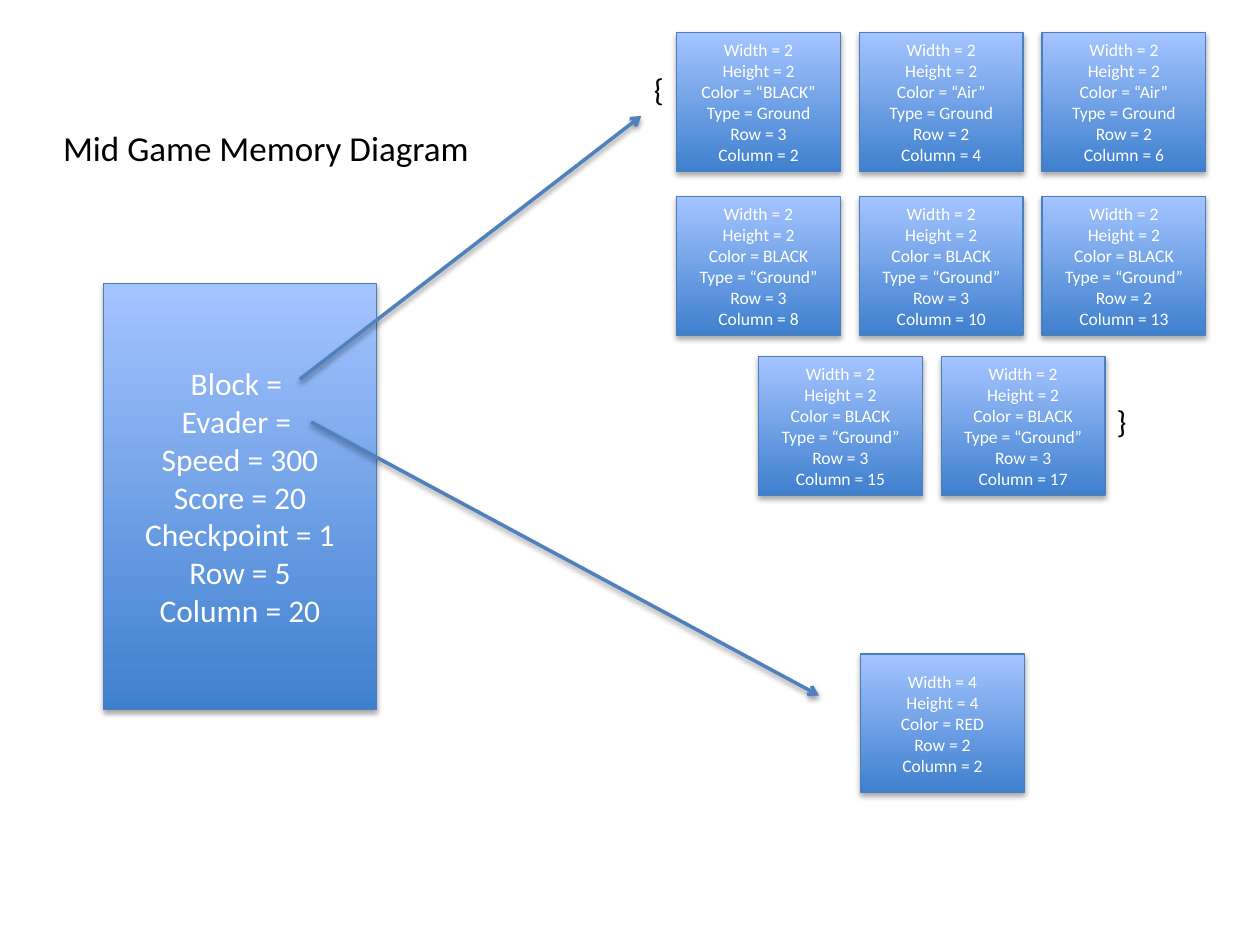
from lxml import etree
from pptx import Presentation
from pptx.dml.color import RGBColor
from pptx.enum.shapes import MSO_CONNECTOR, MSO_SHAPE
from pptx.enum.text import MSO_ANCHOR, MSO_AUTO_SIZE, PP_ALIGN
from pptx.oxml import parse_xml
from pptx.oxml.ns import nsdecls, qn
from pptx.util import Inches, Pt

RECT, LINE = MSO_SHAPE.RECTANGLE, MSO_CONNECTOR.STRAIGHT
LEFT, MID = PP_ALIGN.LEFT, PP_ALIGN.CENTER
TOP, CENTER = MSO_ANCHOR.TOP, MSO_ANCHOR.MIDDLE
GROW, FIXED = MSO_AUTO_SIZE.SHAPE_TO_FIT_TEXT, MSO_AUTO_SIZE.NONE
FONT = "Calibri"
CARD_W, CARD_H, STEP = 1.3, 1.1, 1.45

GAME = ["Block = ", "Evader = ", "Speed = 300", "Score = 20",
        "Checkpoint = 1", "Row = 5", "Column = 20"]
EVADER = ["Width = 4", "Height = 4", "Color = RED", "Row = 2", "Column = 2"]
ROWS = [
    (5.37, 0.26, [("“BLACK”", "Ground", 3, 2), ("“Air”", "Ground", 2, 4),
                  ("“Air”", "Ground", 2, 6)]),
    (5.37, 1.56, [("BLACK", "“Ground”", 3, 8), ("BLACK", "“Ground”", 3, 10),
                  ("BLACK", "“Ground”", 2, 13)]),
    (6.02, 2.83, [("BLACK", "“Ground”", 3, 15), ("BLACK", "“Ground”", 3, 17)]),
]
ARROWS = [((2.38, 3.01), (5.09, 0.92)), ((2.47, 3.35), (6.5, 5.52))]
BRACES = [("{", (5.09, 0.51, 0.28, 0.4), False), ("}", (8.77, 3.14, 0.19, 0.4), True)]


def color(code):
    """Turn a hex string into a colour."""
    return RGBColor.from_string(code)


def style(item, **values):
    """Set each given attribute on an item."""
    for name, value in values.items():
        setattr(item, name, value)


def place(item, box):
    """Move an item to a box given in inches."""
    names = ("left", "top", "width", "height")
    style(item, **dict(zip(names, map(Inches, box))))


def write(shape, lines, size, ink, align, frame):
    """Fill a shape with one formatted paragraph per line."""
    text = shape.text_frame
    text.text = "\n".join(lines)
    style(text, **frame)
    for para in text.paragraphs:
        para.alignment = align
        for run in para.runs:
            style(run.font, name=FONT, size=Pt(size))
            run.font.color.rgb = color(ink)


def shade(item, dist, alpha):
    """Give an item a soft shadow that falls straight down."""
    props = item._element.spPr
    for old in props.findall(qn("a:effectLst")):
        props.remove(old)
    props.append(parse_xml(
        f'<a:effectLst {nsdecls("a")}><a:outerShdw blurRad="40000" dist="{dist}" '
        'dir="5400000" rotWithShape="0"><a:srgbClr val="000000">'
        f'<a:alpha val="{alpha}"/></a:srgbClr></a:outerShdw></a:effectLst>'))


def card(slide, box, lines, size):
    """Draw a gradient box that lists the fields of one object."""
    shape = slide.shapes.add_shape(RECT, *map(Inches, box))
    shape.fill.gradient()
    shape.fill.gradient_angle = 90
    for stop, code in zip(shape.fill.gradient_stops, ("3F80CE", "A4C4FF")):
        stop.color.rgb = color(code)
    shape.line.color.rgb = color("4B7EBC")
    shape.line.width = Pt(0.75)
    shade(shape, 23000, 35000)
    write(shape, lines, size, "FFFFFF", MID,
          {"vertical_anchor": CENTER, "word_wrap": True})


def row(slide, left, top, blocks):
    """Lay a row of block cards at an even step."""
    for i, (paint, kind, line, col) in enumerate(blocks):
        fields = ["Width = 2", "Height = 2", f"Color = {paint}",
                  f"Type = {kind}", f"Row = {line}", f"Column = {col}"]
        card(slide, (left + i * STEP, top, CARD_W, CARD_H), fields, 10)


def arrow(slide, start, end):
    """Draw a pointer from a field to its object."""
    link = slide.shapes.add_connector(LINE, *map(Inches, start + end))
    link.line.color.rgb = color("4F81BD")
    link.line.width = Pt(2)
    etree.SubElement(link.line._get_or_add_ln(), qn("a:tailEnd"), type="arrow")
    shade(link, 20000, 38000)


def brace(slide, mark, box, wrap):
    """Place a brace that opens or closes the block list."""
    label = slide.shapes.add_textbox(*map(Inches, box))
    write(label, [mark], 18, "000000", LEFT, {"word_wrap": wrap, "auto_size": GROW})


def heading(slide, box):
    """Move and format the title placeholder."""
    title = slide.shapes.title
    place(title, box)
    write(title, ["Mid Game Memory Diagram"], 20, "000000", LEFT,
          {"vertical_anchor": TOP, "word_wrap": False, "auto_size": FIXED})


def main():
    """Build the slide and save it."""
    deck = Presentation()
    style(deck, slide_width=Inches(10), slide_height=Inches(7.5))
    slide = deck.slides.add_slide(deck.slide_layouts[5])
    heading(slide, (0.4, 0.95, 3.45, 0.44))
    card(slide, (0.82, 2.25, 2.17, 3.38), GAME, 18)
    for left, top, blocks in ROWS:
        row(slide, left, top, blocks)
    card(slide, (6.83, 5.19, CARD_W, CARD_H), EVADER, 10)
    for start, end in ARROWS:
        arrow(slide, start, end)
    for mark, box, wrap in BRACES:
        brace(slide, mark, box, wrap)
    deck.save("out.pptx")


if __name__ == "__main__":
    main()
